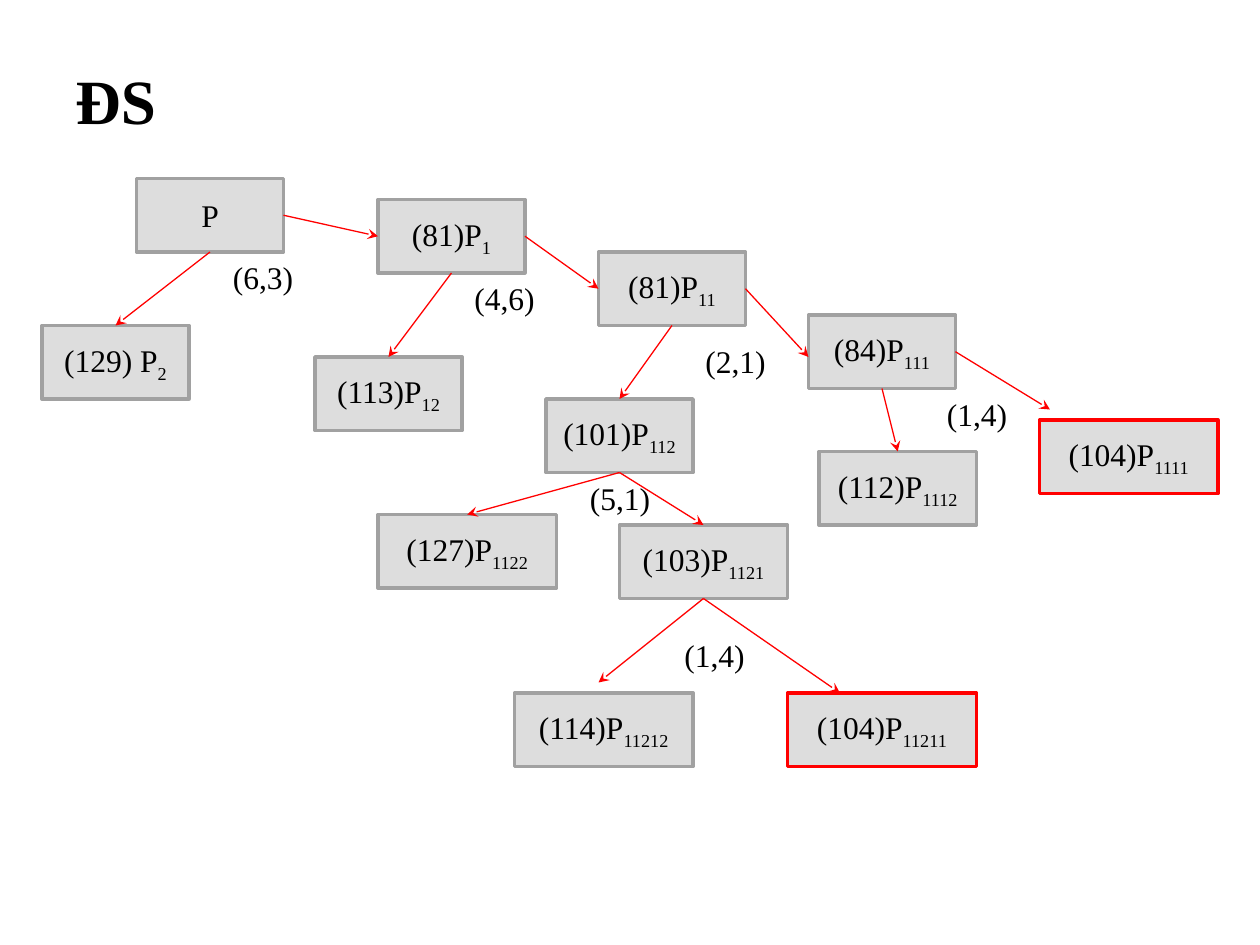
from dataclasses import dataclass

from lxml import etree
from pptx import Presentation
from pptx.dml.color import RGBColor
from pptx.enum.shapes import MSO_CONNECTOR, MSO_SHAPE
from pptx.enum.text import MSO_ANCHOR, PP_ALIGN
from pptx.oxml.ns import qn
from pptx.util import Inches, Pt

STRAIGHT = MSO_CONNECTOR.STRAIGHT
RECTANGLE = MSO_SHAPE.RECTANGLE
MIDDLE, TOP_ANCHOR = MSO_ANCHOR.MIDDLE, MSO_ANCHOR.TOP
CENTER, LEFT_ALIGN = PP_ALIGN.CENTER, PP_ALIGN.LEFT
TOP, LEFT, BOTTOM, RIGHT = range(4)

CELL = Inches(1) // 12
COLUMNS, ROWS = 120, 90
NODE_HEIGHT = 7


@dataclass(frozen=True)
class Theme:
    """Colours, font and sizes of the slide."""
    ink: RGBColor = RGBColor(0x00, 0x00, 0x00)
    fill: RGBColor = RGBColor(0xDD, 0xDD, 0xDD)
    border: RGBColor = RGBColor(0xA1, 0xA1, 0xA1)
    accent: RGBColor = RGBColor(0xFF, 0x00, 0x00)
    font: str = "Times New Roman"
    title: Pt = Pt(36)
    body: Pt = Pt(18)
    border_width: Pt = Pt(2)
    arrow_width: Pt = Pt(0.75)


THEME = Theme()

NODES = {
    "P": ("P", "", 13, 17, 14),
    "P2": ("(129) P", "2", 4, 31, 14),
    "P1": ("(81)P", "1", 36, 19, 14),
    "P12": ("(113)P", "12", 30, 34, 14),
    "P11": ("(81)P", "11", 57, 24, 14),
    "P112": ("(101)P", "112", 52, 38, 14),
    "P111": ("(84)P", "111", 77, 30, 14),
    "P1111": ("(104)P", "1111", 99, 40, 17),
    "P1112": ("(112)P", "1112", 78, 43, 15),
    "P1122": ("(127)P", "1122", 36, 49, 17),
    "P1121": ("(103)P", "1121", 59, 50, 16),
    "P11211": ("(104)P", "11211", 75, 66, 18),
    "P11212": ("(114)P", "11212", 49, 66, 17),
}
BEST = {"P1111", "P11211"}

JOINED_EDGES = [
    ("P", RIGHT, "P1", LEFT),
    ("P1", RIGHT, "P11", LEFT),
    ("P11", BOTTOM, "P112", TOP),
    ("P111", BOTTOM, "P1112", TOP),
    ("P112", BOTTOM, "P1122", TOP),
    ("P112", BOTTOM, "P1121", TOP),
    ("P", BOTTOM, "P2", TOP),
    ("P1", BOTTOM, "P12", TOP),
]
OPEN_EDGES = [
    ("P11", RIGHT, 77, 34),
    ("P111", RIGHT, 100, 39),
    ("P1121", BOTTOM, 57, 65),
    ("P1121", BOTTOM, 80, 66),
]
BRANCHES = [
    ("(6,3)", 21, 24),
    ("(4,6)", 44, 26),
    ("(2,1)", 66, 32),
    ("(1,4)", 89, 37),
    ("(5,1)", 55, 45),
    ("(1,4)", 64, 60),
]


def grid(*cells):
    """Turn grid cells into lengths."""
    return [round(cell * CELL) for cell in cells]


def write(sp, text, size, subscript="", bold=False, align=LEFT_ALIGN, anchor=MIDDLE):
    """Write one paragraph with an optional subscript."""
    tf = sp.text_frame
    tf.word_wrap = True
    tf.vertical_anchor = anchor
    p = tf.paragraphs[0]
    p.alignment = align
    p.font.name, p.font.size, p.font.bold = THEME.font, size, bold
    p.font.color.rgb = THEME.ink
    p.add_run().text = text
    if subscript:
        r = p.add_run()
        r.text = subscript
        r.font._element.set("baseline", "-25000")


def add_title(s, box):
    """Place the slide title in its box."""
    write(s.shapes.add_textbox(*grid(*box)), "ĐS", THEME.title, bold=True)


def add_node(s, box, text, subscript, border):
    """Place one problem of the tree in its box."""
    sp = s.shapes.add_shape(RECTANGLE, *grid(*box))
    sp.shadow.inherit = False
    sp.fill.solid()
    sp.fill.fore_color.rgb = THEME.fill
    sp.line.color.rgb = border
    sp.line.width = THEME.border_width
    write(sp, text, THEME.body, subscript, align=CENTER)
    return sp


def add_arrow(s, start, side, x=0, y=0, end=None, end_side=TOP):
    """Draw an arrow from a node to another node or to a point."""
    line = s.shapes.add_connector(STRAIGHT, 0, 0, *grid(x, y))
    line.begin_connect(start, side)
    if end is not None:
        line.end_connect(end, end_side)
    line.line.color.rgb = THEME.accent
    line.line.width = THEME.arrow_width
    etree.SubElement(line.line._get_or_add_ln(), qn("a:tailEnd"), type="stealth")
    etree.SubElement(line._element.spPr, qn("a:effectLst"))


def add_tree(s, column, row):
    """Place the branch-and-bound tree from its top left cell."""
    nodes = {}
    for name, (text, subscript, x, y, width) in NODES.items():
        border = THEME.accent if name in BEST else THEME.border
        box = (column + x, row + y, width, NODE_HEIGHT)
        nodes[name] = add_node(s, box, text, subscript, border)
    for start, side, end, end_side in JOINED_EDGES:
        add_arrow(s, nodes[start], side, end=nodes[end], end_side=end_side)
    for start, side, x, y in OPEN_EDGES:
        add_arrow(s, nodes[start], side, column + x, row + y)
    for text, x, y in BRANCHES:
        sp = s.shapes.add_textbox(*grid(column + x, row + y, 8.3, 4.8))
        write(sp, text, THEME.body, anchor=TOP_ANCHOR)


def main():
    """Build the slide and save it."""
    prs = Presentation()
    prs.slide_width, prs.slide_height = grid(COLUMNS, ROWS)
    s = prs.slides.add_slide(prs.slide_layouts[6])
    add_title(s, (6, 5, COLUMNS - 12, 9))
    add_tree(s, 0, 0)
    prs.save("out.pptx")


if __name__ == "__main__":
    main()
